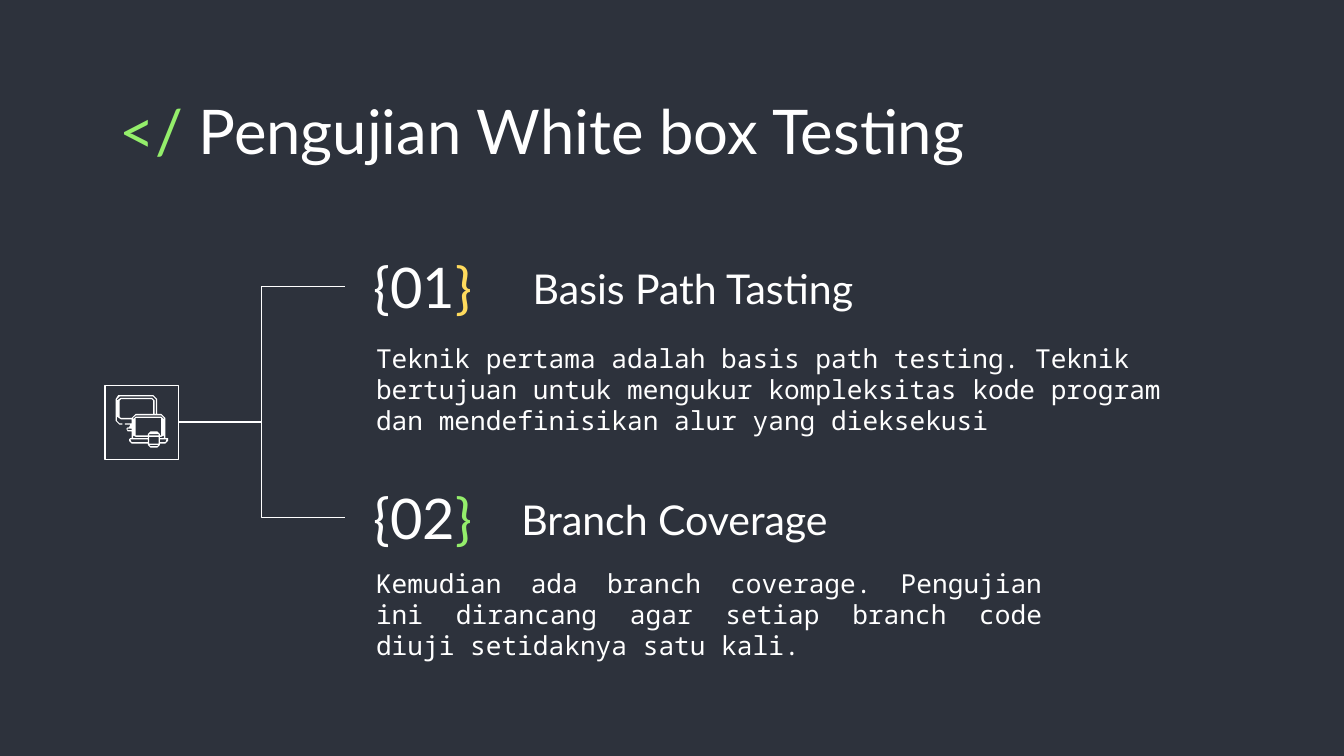
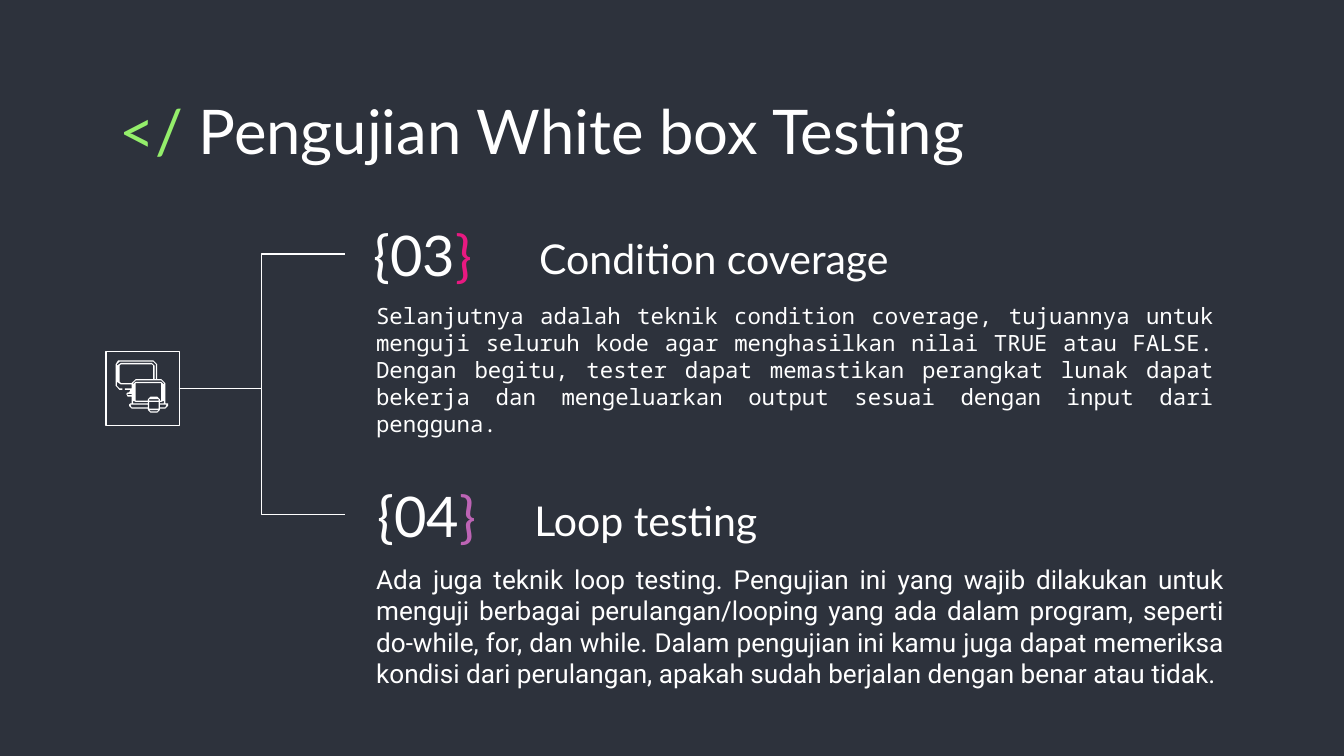
"""Build two slides on white box testing techniques."""
import pptx
import pptx.util
import pptx.dml.color
import pptx.enum.shapes
import pptx.enum.text
import pptx.oxml.ns
import lxml.etree

Pt = pptx.util.Pt
RGB = pptx.dml.color.RGBColor.from_string
ALIGN = pptx.enum.text.PP_ALIGN
HUES = {
    "back": "2D323C", "white": "FFFFFF", "green": "94EE6B",
    "gold": "FFDB5D", "pink": "E81981", "mauve": "BD64B5",
}
HEAD, MONO = "Lato", "Noto Sans Mono"

ICON = [
    [(2, 0), (28, 0), (31, 3), (31, 14), (34, 14), (37, 17), (37, 32), (39, 32),
     (39, 34), (37, 36), (33, 36), (33, 37), (31, 39), (26, 39), (24, 37), (24, 36),
     (12, 36), (10, 34), (10, 33), (11, 32), (12, 32), (12, 27), (9, 27), (8, 25),
     (9, 24), (10, 24), (11, 22), (7, 22), (7, 21), (12, 21), (12, 18), (4, 18),
     (1, 16), (1, 4), (4, 2), (27, 2), (29, 4), (29, 14), (30, 14), (30, 3),
     (28, 1), (3, 1), (1, 3), (1, 19), (3, 21), (5, 21), (5, 22), (3, 22),
     (0, 19), (0, 3)],
    [(4, 3), (27, 3), (28, 4), (28, 14), (15, 14), (12, 17), (4, 17), (3, 16), (3, 4)],
    [(9, 25), (12, 25), (12, 26), (9, 26)],
    [(34, 15), (36, 17), (36, 32), (33, 32), (33, 31), (34, 31), (36, 30), (36, 18),
     (34, 16), (15, 16), (13, 18), (13, 30), (15, 31), (24, 31), (24, 32), (13, 32),
     (13, 17), (15, 15)],
    [(15, 17), (34, 17), (34, 30), (33, 30), (33, 29), (31, 27), (26, 27), (24, 29),
     (24, 30), (15, 30)],
    [(11, 33), (24, 33), (24, 35), (12, 35)],
    [(33, 33), (38, 33), (37, 35), (33, 35)],
    [(25, 29), (32, 29), (32, 30), (25, 30)],
    [(25, 31), (32, 31), (32, 36), (25, 36)],
    [(25, 37), (32, 37), (31, 38), (26, 38)],
]

PAGES = [
    {"box": (56.2, 206.6), "icon": 211.7, "mid": 226.1, "ends": (153.4, 277.2), "items": [
        {"num": "01", "hue": "gold", "spot": (184.3, 135.4, 84.2),
         "name": "Basis Path Tasting", "place": (257.8, 136.1, 226.8), "side": ALIGN.CENTER,
         "text": "Teknik pertama adalah basis path testing. Teknik bertujuan untuk mengukur "
                 "kompleksitas kode program dan mendefinisikan alur yang dieksekusi",
         "area": (194.4, 187.2, 463, 42.5), "form": {"alignment": ALIGN.LEFT},
         "font": (MONO, 14)},
        {"num": "02", "hue": "green", "spot": (184.3, 259.2, 84.2),
         "name": "Branch Coverage", "place": (272.2, 259.9, 216.7), "side": ALIGN.LEFT,
         "text": "Kemudian ada branch coverage. Pengujian ini dirancang agar setiap branch "
                 "code diuji setidaknya satu kali.",
         "area": (194.4, 311, 371.5, 36), "form": {"alignment": ALIGN.JUSTIFY},
         "font": (MONO, 14)},
    ]},
    {"box": (56.7, 188.4), "icon": 193, "mid": 208.1, "ends": (136.1, 275.8), "items": [
        {"num": "03", "hue": "pink", "spot": (184.3, 118.1, 84.2),
         "name": "Condition coverage", "place": (256.3, 120.2, 226.8), "side": ALIGN.RIGHT,
         "text": "Selanjutnya adalah teknik condition coverage, tujuannya untuk menguji "
                 "seluruh kode agar menghasilkan nilai TRUE atau FALSE. Dengan begitu, tester "
                 "dapat memastikan perangkat lunak dapat bekerja dan mengeluarkan output "
                 "sesuai dengan input dari pengguna.",
         "area": (194.4, 166.3, 463, 63.4),
         "form": {"alignment": ALIGN.JUSTIFY, "space_before": Pt(21), "space_after": Pt(21)},
         "font": (MONO, 12)},
        {"num": "04", "hue": "mauve", "spot": (184.3, 257.8, 88.6),
         "name": " Loop testing", "place": (273.6, 260.6, 228.2), "side": ALIGN.LEFT,
         "text": "Ada juga teknik loop testing. Pengujian ini yang wajib dilakukan untuk "
                 "menguji berbagai perulangan/looping yang ada dalam program, seperti "
                 "do-while, for, dan while. Dalam pengujian ini kamu juga dapat memeriksa "
                 "kondisi dari perulangan, apakah sudah berjalan dengan benar atau tidak.",
         "area": (194.4, 317.5, 468.7, 36), "form": {"alignment": ALIGN.JUSTIFY},
         "font": ("Roboto", 14)},
    ]},
]


def write(page, area, runs, font, form, top=False):
    """Add a text box with one paragraph of coloured runs."""
    frame = page.shapes.add_textbox(*map(Pt, area)).text_frame
    anchor = pptx.enum.text.MSO_ANCHOR
    look = {"word_wrap": True, "vertical_anchor": anchor.TOP if top else anchor.MIDDLE}
    for side in ("left", "top", "right", "bottom"):
        look["margin_" + side] = Pt(7.2)
    for key, val in look.items():
        setattr(frame, key, val)
    para = frame.paragraphs[0]
    for key, val in form.items():
        setattr(para, key, val)
    for text, hue in runs:
        run = para.add_run()
        run.text = text
        for key, val in {"name": font[0], "size": Pt(font[1])}.items():
            setattr(run.font, key, val)
        run.font.color.rgb = RGB(HUES[hue])


def trim(line):
    """Give a line its white colour and thin width."""
    line.color.rgb = RGB(HUES["white"])
    line.width = Pt(0.75)


deck = pptx.Presentation()
deck.slide_width, deck.slide_height = Pt(720), Pt(405)

for plan in PAGES:
    page = deck.slides.add_slide(deck.slide_layouts[6])
    page.background.fill.solid()
    page.background.fill.fore_color.rgb = RGB(HUES["back"])
    write(page, (56.9, 42.5, 607, 45.4),
          [("</ ", "green"), ("Pengujian White box Testing", "white")],
          (HEAD, 33), {"alignment": ALIGN.LEFT}, top=True)

    box = page.shapes.add_shape(pptx.enum.shapes.MSO_SHAPE.RECTANGLE,
                                *map(Pt, plan["box"]), Pt(39.6), Pt(39.6))
    box.shadow.inherit = False
    box.fill.background()
    trim(box.line)

    for item, end in zip(plan["items"], plan["ends"]):
        left, top, wide = item["spot"]
        write(page, (left, top, wide, 36), [("{" + item["num"], "white"), ("}", item["hue"])],
              (HEAD, 30), {"alignment": ALIGN.CENTER})
        left, top, wide = item["place"]
        write(page, (left, top, wide, 36), [(item["name"], "white")],
              (HEAD, 22), {"alignment": item["side"]})
        write(page, item["area"], [(item["text"], "white")], item["font"], item["form"])
        link = page.shapes.add_connector(pptx.enum.shapes.MSO_CONNECTOR.ELBOW,
                                         Pt(95.8), Pt(plan["mid"]), Pt(184.6), Pt(end))
        trim(link.line)
        lxml.etree.SubElement(link._element.spPr, pptx.oxml.ns.qn("a:effectLst"))

    pen = page.shapes.build_freeform(*ICON[0][0], scale=Pt(0.72))
    for turn, ring in enumerate(ICON):
        if turn:
            pen.move_to(*ring[0])
        pen.add_line_segments(ring[1:], close=True)
    icon = pen.convert_to_shape(Pt(61.9), Pt(plan["icon"]))
    icon.shadow.inherit = False
    icon.fill.solid()
    icon.fill.fore_color.rgb = RGB(HUES["white"])
    icon.line.fill.background()

deck.save("out.pptx")
